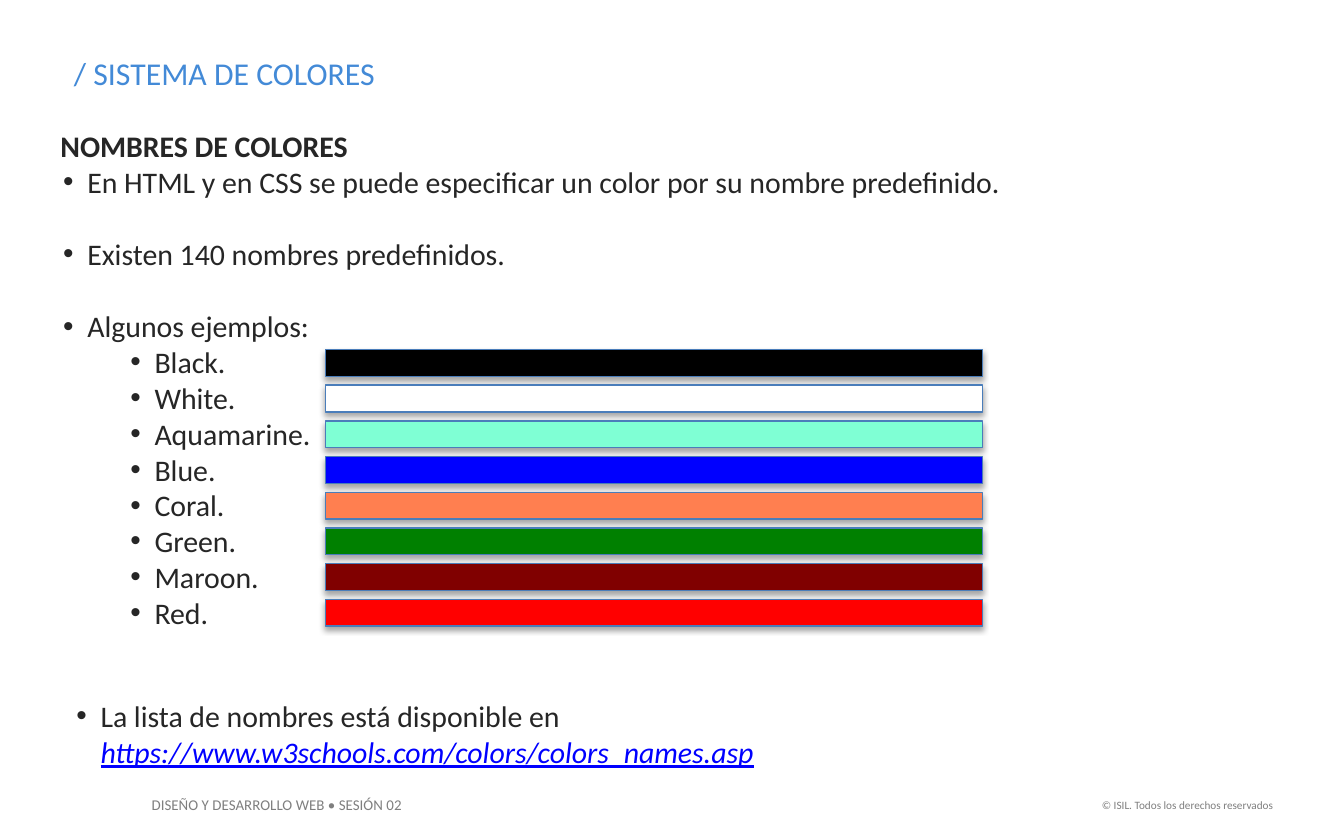
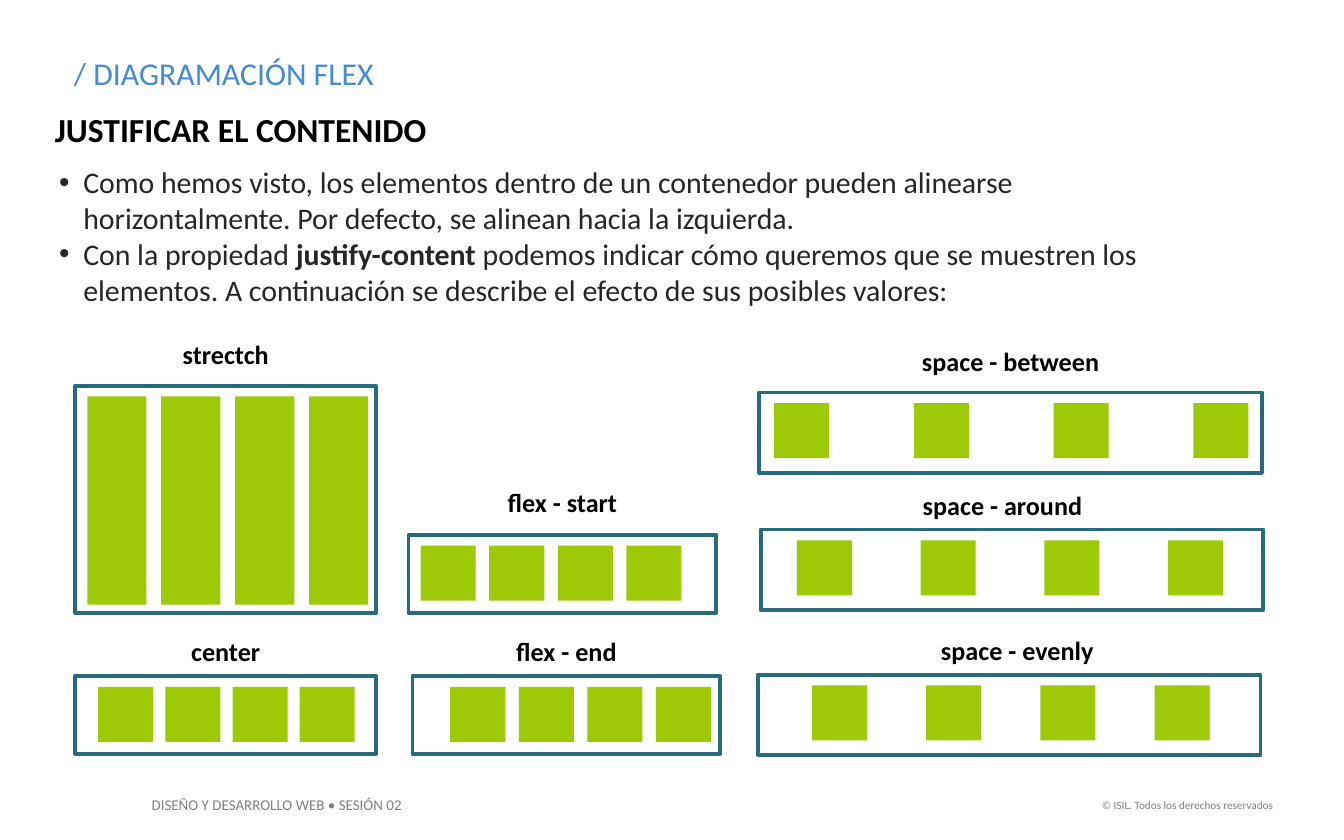
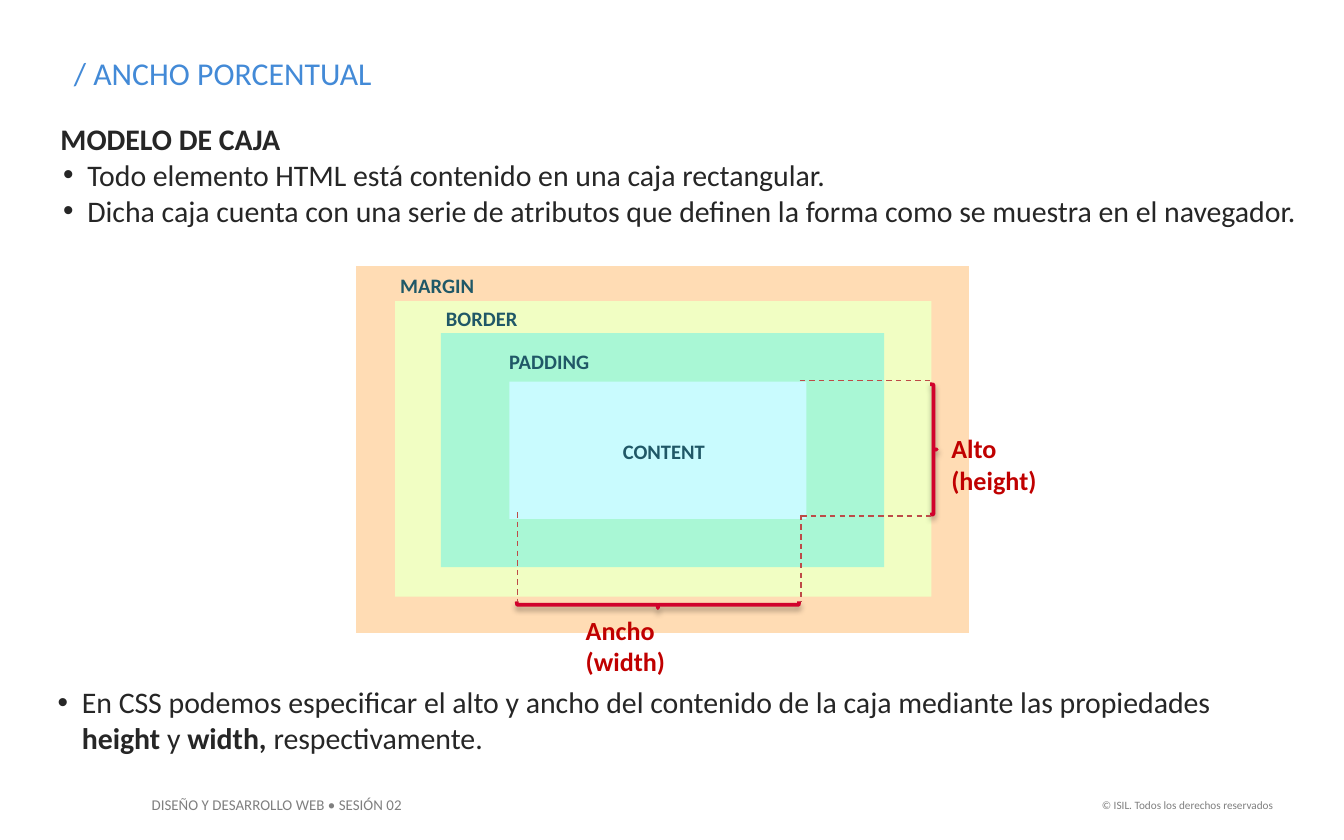
import dataclasses

import pptx
import pptx.dml.color
import pptx.enum.dml
import pptx.enum.shapes
import pptx.enum.text
import pptx.oxml
import pptx.oxml.ns
import pptx.util
from pptx.util import Inches

ALIGN = pptx.enum.text.PP_ALIGN
SHAPE = pptx.enum.shapes.MSO_SHAPE
TITLE_ONLY = 5


@dataclasses.dataclass(frozen=True)
class Theme:
    font: str = "Calibri"
    title: str = "438AD7"
    body: str = "262626"
    heading: str = "000000"
    footer: str = "7F7F7F"
    link: str = "0000FF"
    swatch_line: str = "4A7DBA"
    flex_frame: str = "276B7D"
    flex_item: str = "9EC907"
    box_label: str = "205867"
    measure: str = "C00000"
    brace: str = "D1022C"
    guide: str = "BD4B48"
    title_size: int = 17
    heading_size: int = 18
    body_size: int = 16
    label_size: int = 14
    box_label_size: int = 11
    footer_size: int = 8
    copyright_size: int = 6
    thin_line: float = 0.75
    thick_line: float = 2


THEME = Theme()


@dataclasses.dataclass(frozen=True)
class Line:
    """One body line; **marks** enclose bold words, level 0 has no bullet."""
    text: str
    level: int = 1
    gap: float = 0


def rgb(value):
    return pptx.dml.color.RGBColor.from_string(value)


# ---- Text helpers ----
def add_run(paragraph, text, size, color, bold=False):
    run = paragraph.add_run()
    run.text = text
    font = run.font
    font.name, font.size, font.bold = THEME.font, pptx.util.Pt(size), bold
    font.color.rgb = rgb(color)
    return run


def add_text_box(slide, left, top, width, height, inset=True):
    box = slide.shapes.add_textbox(*map(Inches, (left, top, width, height)))
    frame = box.text_frame
    frame.word_wrap = True
    frame.auto_size = pptx.enum.text.MSO_AUTO_SIZE.SHAPE_TO_FIT_TEXT
    if not inset:
        frame.margin_left = frame.margin_right = 0
        frame.margin_top = frame.margin_bottom = 0
    return box


def add_label(slide, box, text, size, color, bold=True, align=ALIGN.LEFT):
    label = add_text_box(slide, *box)
    paragraph = label.text_frame.paragraphs[0]
    paragraph.alignment = align
    add_run(paragraph, text, size, color, bold)
    return label


def set_bullet(paragraph, level):
    properties = paragraph._p.get_or_add_pPr()
    properties.set("marL", str(Inches(0.2 if level == 1 else 0.7)))
    properties.set("indent", str(Inches(-0.18)))
    namespace = pptx.oxml.ns.nsdecls("a")
    for element in (
        f'<a:buClr {namespace}><a:srgbClr val="{THEME.body}"/></a:buClr>',
        f'<a:buFont {namespace} typeface="Arial"/>',
        f'<a:buChar {namespace} char="•"/>',
    ):
        properties.append(pptx.oxml.parse_xml(element))
    paragraph.level = level - 1


def add_body(slide, box, lines):
    frame = add_text_box(slide, *box, inset=False).text_frame
    for index, line in enumerate(lines):
        paragraph = frame.add_paragraph() if index else frame.paragraphs[0]
        if line.level:
            set_bullet(paragraph, line.level)
        if line.gap:
            paragraph.space_before = pptx.util.Pt(line.gap)
        for part, text in enumerate(line.text.split("**")):
            if text:
                add_run(paragraph, text, THEME.body_size, THEME.body, part % 2 == 1)


# ---- Shape helpers ----
def add_shape(slide, kind, box, fill=None, line=None, width=0, shadow=False):
    shape = slide.shapes.add_shape(kind, *map(Inches, box))
    if fill:
        shape.fill.solid()
        shape.fill.fore_color.rgb = rgb(fill)
    else:
        shape.fill.background()
    if line:
        shape.line.color.rgb = rgb(line)
        shape.line.width = pptx.util.Pt(width)
    else:
        shape.line.fill.background()
    shape.shadow.inherit = False
    if shadow:
        effects = shape._element.spPr.find(pptx.oxml.ns.qn("a:effectLst"))
        effects.append(pptx.oxml.parse_xml(
            f'<a:outerShdw {pptx.oxml.ns.nsdecls("a")} blurRad="39400" dist="22900" '
            'dir="5400000" rotWithShape="0"><a:srgbClr val="000000">'
            '<a:alpha val="35000"/></a:srgbClr></a:outerShdw>'))
    return shape


def add_guide(slide, *ends):
    guide = slide.shapes.add_connector(
        pptx.enum.shapes.MSO_CONNECTOR.STRAIGHT, *map(Inches, ends))
    guide.line.color.rgb = rgb(THEME.guide)
    guide.line.width = pptx.util.Pt(THEME.thin_line)
    guide.line.dash_style = pptx.enum.dml.MSO_LINE.DASH
    guide._element.spPr.append(
        pptx.oxml.parse_xml(f'<a:effectLst {pptx.oxml.ns.nsdecls("a")}/>'))


# ---- Parts shared by all slides ----
def add_titled_slide(presentation, text):
    slide = presentation.slides.add_slide(presentation.slide_layouts[TITLE_ONLY])
    title = slide.shapes.title
    title.left, title.top, title.width, title.height = map(
        Inches, (0.45, 0.35, 7.88, 0.39))
    frame = title.text_frame
    frame.auto_size = pptx.enum.text.MSO_AUTO_SIZE.NONE
    frame.vertical_anchor = pptx.enum.text.MSO_ANCHOR.TOP
    frame.paragraphs[0].alignment = ALIGN.LEFT
    add_run(frame.paragraphs[0], text, THEME.title_size, THEME.title)
    return slide


def move_footers_to_layout(slide):
    layout = slide.slide_layout
    for sheet in (layout, layout.slide_master):
        for placeholder in list(sheet.placeholders):
            if placeholder.placeholder_format.idx > 1:
                placeholder._element.getparent().remove(placeholder._element)
    footers = (
        add_label(slide, (1.03, 5.87, 2.2, 0.24), "DISEÑO Y DESARROLLO WEB • SESIÓN 02",
                  THEME.footer_size, THEME.footer, False),
        add_label(slide, (8.07, 5.89, 1.5, 0.2), "© ISIL. Todos los derechos reservados",
                  THEME.copyright_size, THEME.footer, False, ALIGN.RIGHT),
    )
    for footer in footers:
        layout.shapes._spTree.append(footer._element)


# ---- Slide 1: colour names ----
def add_swatches(slide, left, top, colors, span=1.86):
    for index, color in enumerate(colors):
        row_top = top + index * span / (len(colors) - 1)
        add_shape(slide, SHAPE.RECTANGLE, (left, row_top, 4.89, 0.2), color,
                  THEME.swatch_line, THEME.thin_line, shadow=True)


def build_color_names(presentation):
    slide = add_titled_slide(presentation, "/ SISTEMA DE COLORES")
    swatches = {
        "Black.": "000000", "White.": "FFFFFF", "Aquamarine.": "7FFFD4",
        "Blue.": "0000FF", "Coral.": "FF7F50", "Green.": "008000",
        "Maroon.": "800000", "Red.": "FF0000",
    }
    blank_line = 19.5
    add_body(slide, (0.45, 0.95, 7.88, 4.04), [
        Line("**NOMBRES DE COLORES**", level=0),
        Line("En HTML y en CSS se puede especificar un color por su nombre predefinido."),
        Line("Existen 140 nombres predefinidos.", gap=blank_line),
        Line("Algunos ejemplos:", gap=blank_line),
        *(Line(name, level=2) for name in swatches),
    ])
    add_swatches(slide, 2.42, 2.6, list(swatches.values()))

    # Source of the full list
    source = add_text_box(slide, 0.45, 5.14, 8.67, 0.37)
    paragraph = source.text_frame.paragraphs[0]
    set_bullet(paragraph, 1)
    add_run(paragraph, "La lista de nombres está disponible en", THEME.body_size, THEME.body)
    paragraph.add_line_break()
    address = add_run(paragraph, "https://www.w3schools.com/colors/colors_names.asp",
                      THEME.body_size, THEME.link)
    address.font.italic = address.font.underline = True
    return slide


# ---- Slide 2: flex justification ----
@dataclasses.dataclass(frozen=True)
class FlexExample:
    name: str
    frame: tuple
    first: float            # offset of the first item inside the frame
    pitch: float
    label_gap: float = 0.35
    label_shift: float = 0
    item: tuple = (0.41, 0.41)


FLEX_EXAMPLES = (
    FlexExample("strectch", (0.56, 2.87, 2.24, 1.69), 0.09, 0.55, 0.4, item=(0.44, 1.55)),
    FlexExample("center", (0.56, 5.03, 2.24, 0.58), 0.17, 0.5),
    FlexExample("flex - start", (3.04, 3.98, 2.29, 0.58), 0.09, 0.51, 0.41),
    FlexExample("flex - end", (3.07, 5.03, 2.29, 0.58), 0.28, 0.51),
    FlexExample("space - between", (5.65, 2.92, 3.74, 0.6), 0.11, 1.04, 0.4),
    FlexExample("space - around", (5.66, 3.94, 3.74, 0.6), 0.27, 0.92, 0.35, -0.07),
    FlexExample("space - evenly", (5.64, 5.02, 3.74, 0.6), 0.4, 0.85, 0.35, 0.06),
)


def add_flex_example(slide, example):
    left, top, width, _ = example.frame
    label_width = 1.9
    label_left = left + (width - label_width) / 2 + example.label_shift
    add_label(slide, (label_left, top - example.label_gap, label_width, 0.34),
              example.name, THEME.label_size, THEME.heading, align=ALIGN.CENTER)
    for index in range(4):
        item_left = left + example.first + index * example.pitch
        add_shape(slide, SHAPE.RECTANGLE, (item_left, top + 0.08, *example.item),
                  THEME.flex_item)
    add_shape(slide, SHAPE.RECTANGLE, example.frame, line=THEME.flex_frame,
              width=THEME.thick_line)


def build_flex_justification(presentation):
    slide = add_titled_slide(presentation, "/ DIAGRAMACIÓN FLEX")
    add_label(slide, (0.31, 0.76, 6.03, 0.4), "JUSTIFICAR EL CONTENIDO",
              THEME.heading_size, THEME.heading)
    add_body(slide, (0.42, 1.22, 8.25, 1.08), [
        Line("Como hemos visto, los elementos dentro de un contenedor pueden alinearse "
             "horizontalmente. Por defecto, se alinean hacia la izquierda."),
        Line("Con la propiedad **justify-content** podemos indicar cómo queremos que se "
             "muestren los elementos. A continuación se describe el efecto de sus "
             "posibles valores:"),
    ])
    for example in FLEX_EXAMPLES:
        add_flex_example(slide, example)


# ---- Slide 3: box model ----
def add_box_model(slide, left, top):
    # Nested layers: name, fill, layer box, label position, label alignment
    layers = (
        ("MARGIN", "FFDCB4", (0, 0, 4.56, 2.73), (0.23, 0), ALIGN.LEFT),
        ("BORDER", "F1FEC3", (0.29, 0.26, 3.99, 2.2), (0.57, 0.25), ALIGN.LEFT),
        ("PADDING", "A9F7D5", (0.63, 0.5, 3.3, 1.74), (1.04, 0.57), ALIGN.LEFT),
        ("CONTENT", "C9FBFE", (1.14, 0.86, 2.21, 1.02), (1.84, 1.24), ALIGN.CENTER),
    )
    for name, fill, (x, y, width, height), (label_x, label_y), align in layers:
        add_shape(slide, SHAPE.RECTANGLE, (left + x, top + y, width, height), fill)
        add_label(slide, (left + label_x, top + label_y, 0.9, 0.29), name,
                  THEME.box_label_size, THEME.box_label, align=align)

    # Braces and their measures
    measures = (
        ("Alto (height)", (4.33, 1.19, 1.2, 0.34), (4.27, 0.88, 0.05, 0.97), 0),
        ("Ancho (width)", (1.61, 2.54, 1.2, 0.34), (2.22, 1.47, 0.05, 2.1), 90),
    )
    for name, (label_x, label_y, *label_size), (x, y, *size), rotation in measures:
        brace = add_shape(slide, SHAPE.RIGHT_BRACE, (left + x, top + y, *size),
                          line=THEME.brace, width=THEME.thick_line, shadow=True)
        brace.adjustments[0] = 0.08
        brace.rotation = rotation
        add_label(slide, (left + label_x, top + label_y, *label_size), name,
                  THEME.label_size, THEME.measure)

    # Dashed guides from the content to the braces
    for x1, y1, x2, y2 in (
        (3.3, 0.85, 4.27, 0.85), (3.31, 1.86, 4.28, 1.86),
        (3.31, 1.85, 3.31, 2.5), (1.2, 1.83, 1.2, 2.5),
    ):
        add_guide(slide, left + x1, top + y1, left + x2, top + y2)


def build_box_model(presentation):
    slide = add_titled_slide(presentation, "/ ANCHO PORCENTUAL")
    add_body(slide, (0.45, 0.9, 9.25, 0.81), [
        Line("**MODELO DE CAJA**", level=0),
        Line("Todo elemento HTML está contenido en una caja rectangular."),
        Line("Dicha caja cuenta con una serie de atributos que definen la forma como "
             "se muestra en el navegador."),
    ])
    add_box_model(slide, 2.65, 1.98)
    add_body(slide, (0.41, 5.09, 9.2, 0.54), [
        Line("En CSS podemos especificar el alto y ancho del contenido de la caja "
             "mediante las propiedades **height** y **width,** respectivamente."),
    ])


def main():
    presentation = pptx.Presentation()
    presentation.slide_width, presentation.slide_height = Inches(10), Inches(6.25)
    first_slide = build_color_names(presentation)
    move_footers_to_layout(first_slide)
    build_flex_justification(presentation)
    build_box_model(presentation)
    presentation.save("out.pptx")


if __name__ == "__main__":
    main()
